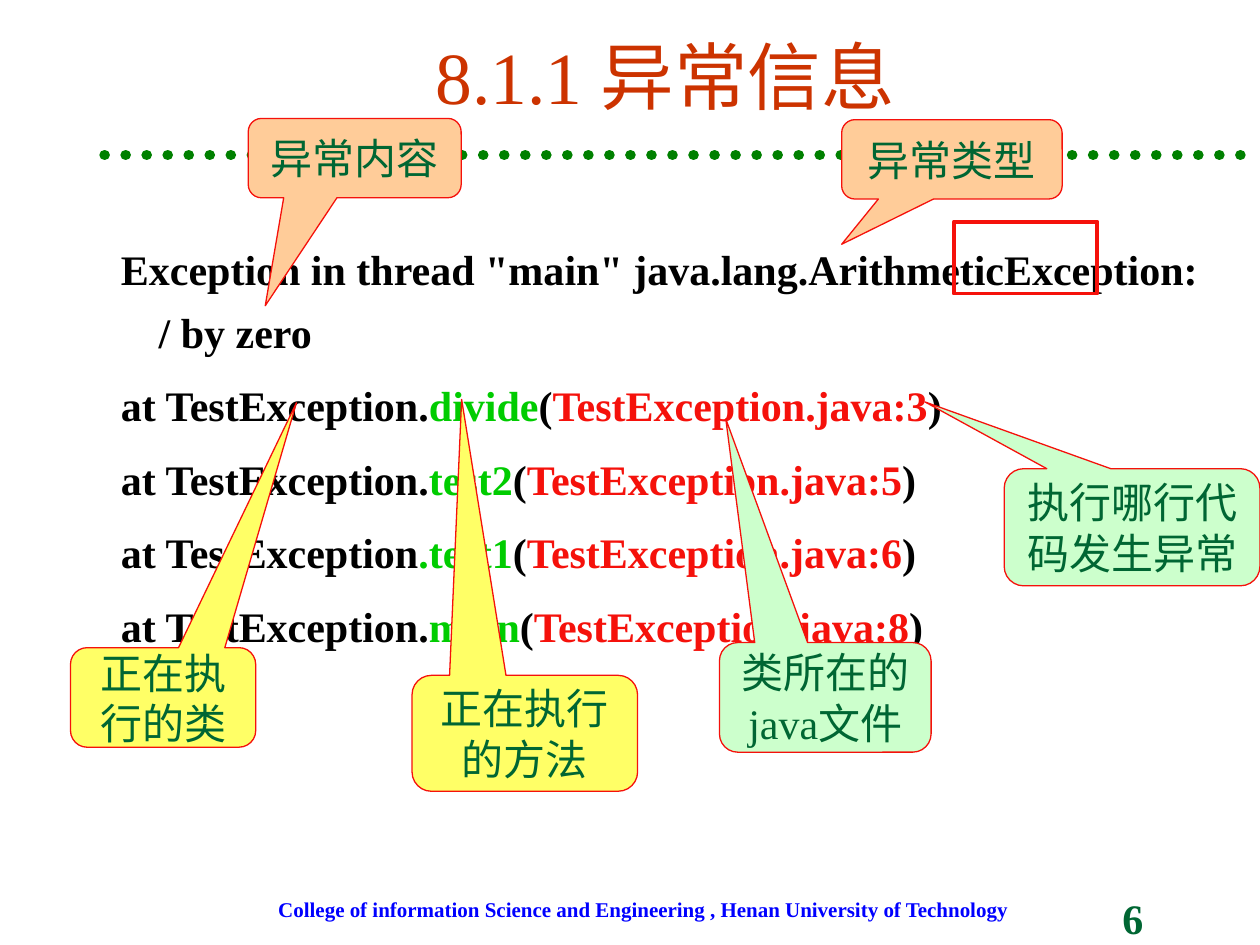
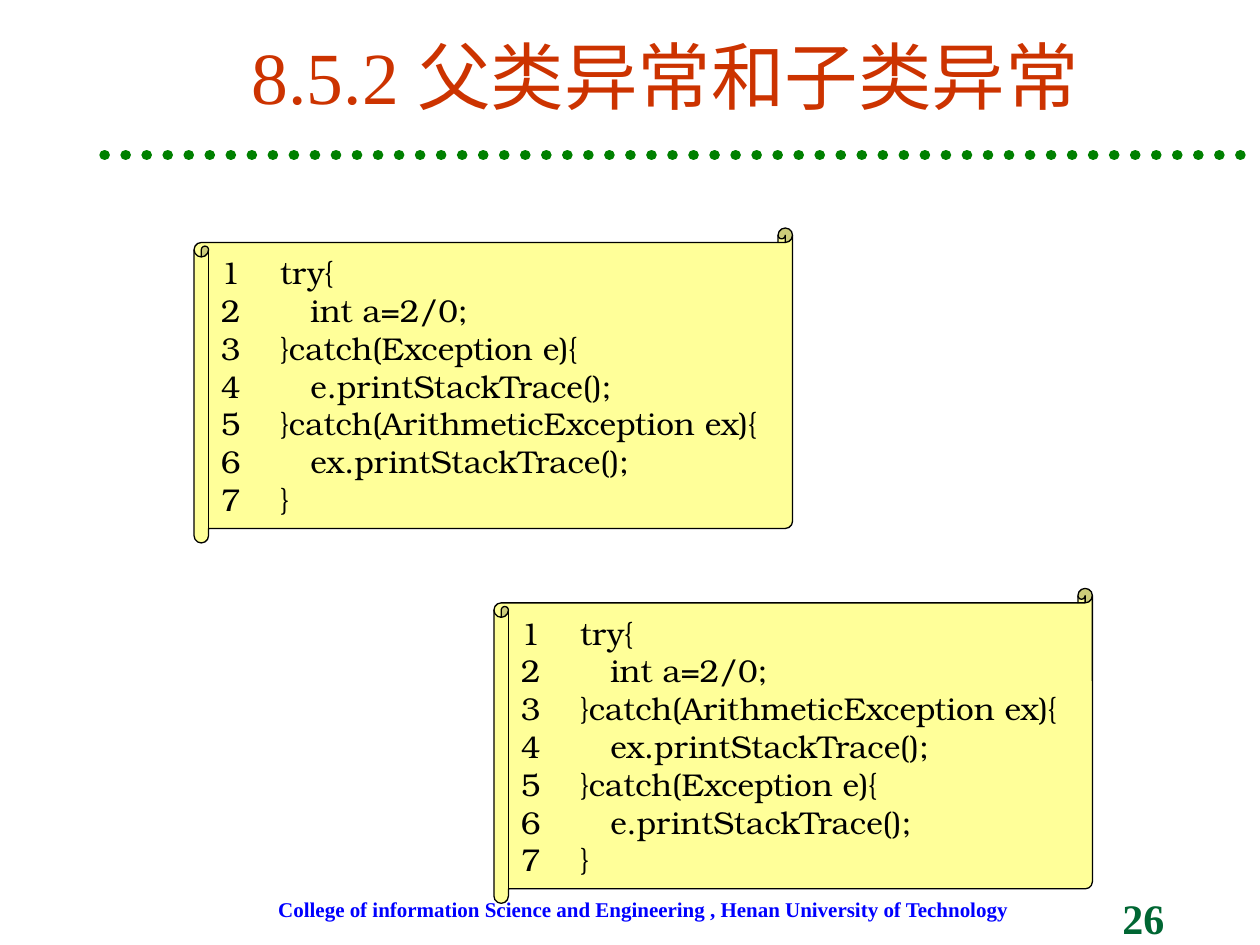
from dataclasses import dataclass

from lxml import etree
from pptx import Presentation
from pptx import util as u
from pptx.dml import color
from pptx.enum import dml, shapes, text
from pptx.oxml import ns

COLUMNS, ROWS = 100, 75
TITLE_AND_BODY, TITLE_ONLY = 1, 5


@dataclass(frozen=True)
class Theme:
    serif: str = "Times New Roman"
    code: str = "TeX Gyre Bonum"
    title_size: int = 42
    text_size: int = 24
    code_size: int = 18
    footer_size: int = 12
    title: str = "CC3300"
    ink: str = "000000"
    green: str = "006633"
    method: str = "00CC00"
    red: str = "F5110B"
    rule: str = "008000"
    footer: str = "0000FF"
    yellow: str = "FFFF66"
    mint: str = "CCFFCC"
    peach: str = "FFCC99"
    scroll: str = "FFFF99"


class Lecture:
    footer_text = ("College of information Science and Engineering , "
                   "Henan University of Technology")

    def __init__(self, theme):
        self.theme = theme
        self.deck = Presentation()
        self.deck.slide_width = u.Inches(10)
        self.deck.slide_height = u.Inches(7.5)
        self.page = None

    def grid(self, left, top, width, height):
        column = self.deck.slide_width / COLUMNS
        row = self.deck.slide_height / ROWS
        return [round(left * column), round(top * row),
                round(width * column), round(height * row)]

    def place(self, shape, area):
        shape.left, shape.top, shape.width, shape.height = self.grid(*area)

    def style(self, font, size, tint, name=None, bold=False):
        font.name = name or self.theme.serif
        font.size = u.Pt(size)
        font.bold = bold
        font.color.rgb = color.RGBColor.from_string(tint)

    def add_page(self, title, number, layout):
        theme = self.theme
        self.page = self.deck.slides.add_slide(self.deck.slide_layouts[layout])
        heading = self.page.shapes.title
        self.place(heading, (10.6, 1.3, 84.4, 9.3))
        heading.text_frame.text = title
        heading.text_frame.auto_size = text.MSO_AUTO_SIZE.NONE
        heading.text_frame.vertical_anchor = text.MSO_ANCHOR.MIDDLE
        para = heading.text_frame.paragraphs[0]
        para.alignment = text.PP_ALIGN.CENTER
        self.style(para.runs[0].font, theme.title_size, theme.title)
        self.add_rule()
        self.add_label(self.footer_text, (21.1, 70.7, 60.2, 3),
                       theme.footer_size, theme.footer)
        self.add_label(str(number), (88.1, 70.3, 7.6, 5),
                       theme.text_size, theme.green, text.MSO_ANCHOR.BOTTOM)

    def add_rule(self):
        left, top, width, height = self.grid(8.3, 12.3, 91.7, 0)
        rule = self.page.shapes.add_connector(
            shapes.MSO_CONNECTOR.STRAIGHT, left, top, left + width, top + height)
        rule.line.color.rgb = color.RGBColor.from_string(self.theme.rule)
        rule.line.width = u.Pt(6)
        rule.line.dash_style = dml.MSO_LINE.ROUND_DOT
        rule.line._get_or_add_ln().set("cap", "rnd")
        etree.SubElement(rule._element.spPr, ns.qn("a:effectLst"))

    def add_label(self, words, area, size, tint, anchor=text.MSO_ANCHOR.TOP):
        box = self.page.shapes.add_textbox(*self.grid(*area))
        frame = box.text_frame
        frame.word_wrap = False
        frame.vertical_anchor = anchor
        frame.text = words
        self.style(frame.paragraphs[0].runs[0].font, size, tint, bold=True)

    def add_trace(self, lines, area):
        box = self.page.placeholders[1]
        self.place(box, area)
        frame = box.text_frame
        frame.auto_size = text.MSO_AUTO_SIZE.NONE
        frame.vertical_anchor = text.MSO_ANCHOR.TOP
        for index, line in enumerate(lines):
            para = frame.add_paragraph() if index else frame.paragraphs[0]
            properties = para._p.get_or_add_pPr()
            properties.set("marL", str(u.Inches(0.38)))
            properties.set("indent", str(u.Inches(-0.3)))
            etree.SubElement(properties, ns.qn("a:buNone"))
            para.line_spacing = 1.25
            para.space_before = u.Pt(6 if index else 0)
            for words, tint in line:
                span = para.add_run()
                span.text = words
                self.style(span.font, self.theme.text_size, tint, bold=True)

    def add_shape(self, kind, area, fill, line, weight=0.75, adjustments=()):
        shape = self.page.shapes.add_shape(kind, *self.grid(*area))
        shape.shadow.inherit = False
        if fill:
            shape.fill.solid()
            shape.fill.fore_color.rgb = color.RGBColor.from_string(fill)
        else:
            shape.fill.background()
        shape.line.color.rgb = color.RGBColor.from_string(line)
        shape.line.width = u.Pt(weight)
        for index, value in enumerate(adjustments):
            shape.adjustments[index] = value
        return shape

    def add_callout(self, words, area, tip, fill):
        theme = self.theme
        callout = self.add_shape(shapes.MSO_SHAPE.ROUNDED_RECTANGULAR_CALLOUT,
                                 area, fill, theme.red, adjustments=(*tip, 0.167))
        frame = callout.text_frame
        frame.word_wrap = True
        frame.vertical_anchor = text.MSO_ANCHOR.MIDDLE
        frame.text = words
        para = frame.paragraphs[0]
        para.alignment = text.PP_ALIGN.CENTER
        self.style(para.runs[0].font, theme.text_size, theme.green)

    def add_code(self, lines, left, top):
        theme = self.theme
        scroll = self.add_shape(shapes.MSO_SHAPE.HORIZONTAL_SCROLL,
                                (left, top, 47.5, 25), theme.scroll, theme.ink,
                                adjustments=(0.046,))
        frame = scroll.text_frame
        frame.word_wrap = True
        frame.margin_right = 0
        frame.vertical_anchor = text.MSO_ANCHOR.MIDDLE
        frame.text = "\n".join(f"{number}\t{line}"
                               for number, line in enumerate(lines, 1))
        for para in frame.paragraphs:
            tabs = etree.SubElement(para._p.get_or_add_pPr(), ns.qn("a:tabLst"))
            etree.SubElement(tabs, ns.qn("a:tab"),
                             pos=str(u.Inches(0.47)), algn="l")
            para.alignment = text.PP_ALIGN.LEFT
            for span in para.runs:
                self.style(span.font, theme.code_size, theme.ink, theme.code)


def trace_line(theme, owner, method, line_number):
    return [(f"at {owner}", theme.ink), (method, theme.method), ("(", theme.ink),
            (f"TestException.java:{line_number}", theme.red), (")", theme.ink)]


def add_exception_message(lecture):
    theme = lecture.theme
    lecture.add_page("8.1.1 异常信息", 6, TITLE_AND_BODY)
    message = ('Exception in thread "main" '
               "java.lang.ArithmeticException: / by zero")
    calls = [("TestException.", "divide", 3), ("TestException.", "test2", 5),
             ("TestException", ".test1", 6), ("TestException.", "main", 8)]
    lecture.add_trace([[(message, theme.ink)],
                       *(trace_line(theme, *call) for call in calls)],
                      (7.8, 17.8, 88.4, 37.4))
    callouts = [
        ("正在执行的方法", (32.7, 53.6, 17.9, 9.2), (-0.28, -2.88), theme.yellow),
        ("正在执行的类", (5.6, 51.4, 14.7, 7.9), (0.72, -2.96), theme.yellow),
        ("类所在的java文件", (57.1, 51, 16.8, 8.7), (-0.47, -2.54), theme.mint),
        ("异常类型", (66.8, 9.5, 17.5, 6.3), (-0.5, 1.07), theme.peach),
        ("异常内容", (19.7, 9.4, 16.9, 6.3), (-0.42, 1.86), theme.peach),
        ("执行哪行代码发生异常", (79.7, 37.2, 20.3, 9.3), (-0.81, -1.07), theme.mint),
    ]
    for callout in callouts:
        lecture.add_callout(*callout)
    lecture.add_shape(shapes.MSO_SHAPE.RECTANGLE, (75.7, 17.6, 11.4, 5.7),
                      None, theme.red, 2.25)


def try_code(*catches):
    lines = ["try{", "   int a=2/0;"]
    for exception, variable in catches:
        lines += [f"}}catch({exception} {variable}){{",
                  f"   {variable}.printStackTrace();"]
    return lines + ["}"]


def add_catch_order(lecture):
    lecture.add_page("8.5.2 父类异常和子类异常", 26, TITLE_ONLY)
    parent = ("Exception", "e")
    child = ("ArithmeticException", "ex")
    lecture.add_code(try_code(parent, child), 15.4, 18.1)
    lecture.add_code(try_code(child, parent), 39.2, 46.7)


def main():
    lecture = Lecture(Theme())
    add_exception_message(lecture)
    add_catch_order(lecture)
    lecture.deck.save("out.pptx")


if __name__ == "__main__":
    main()
